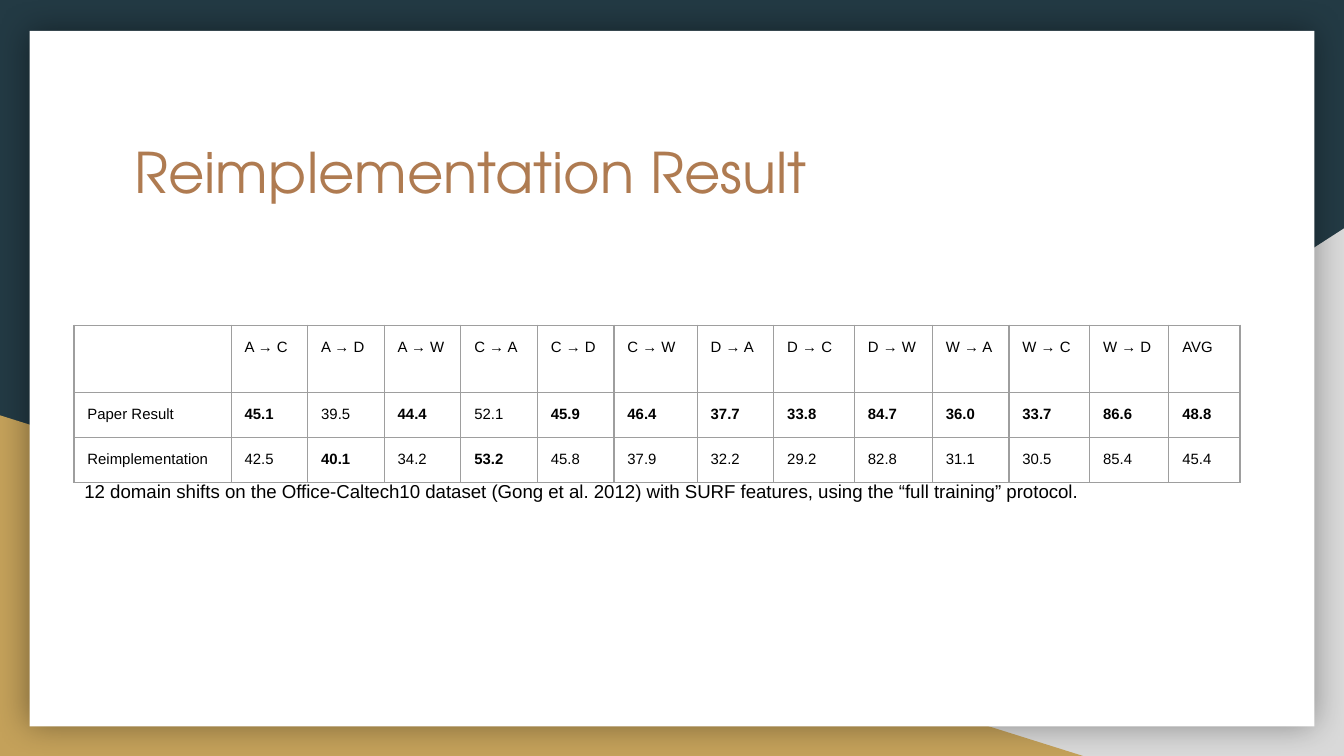
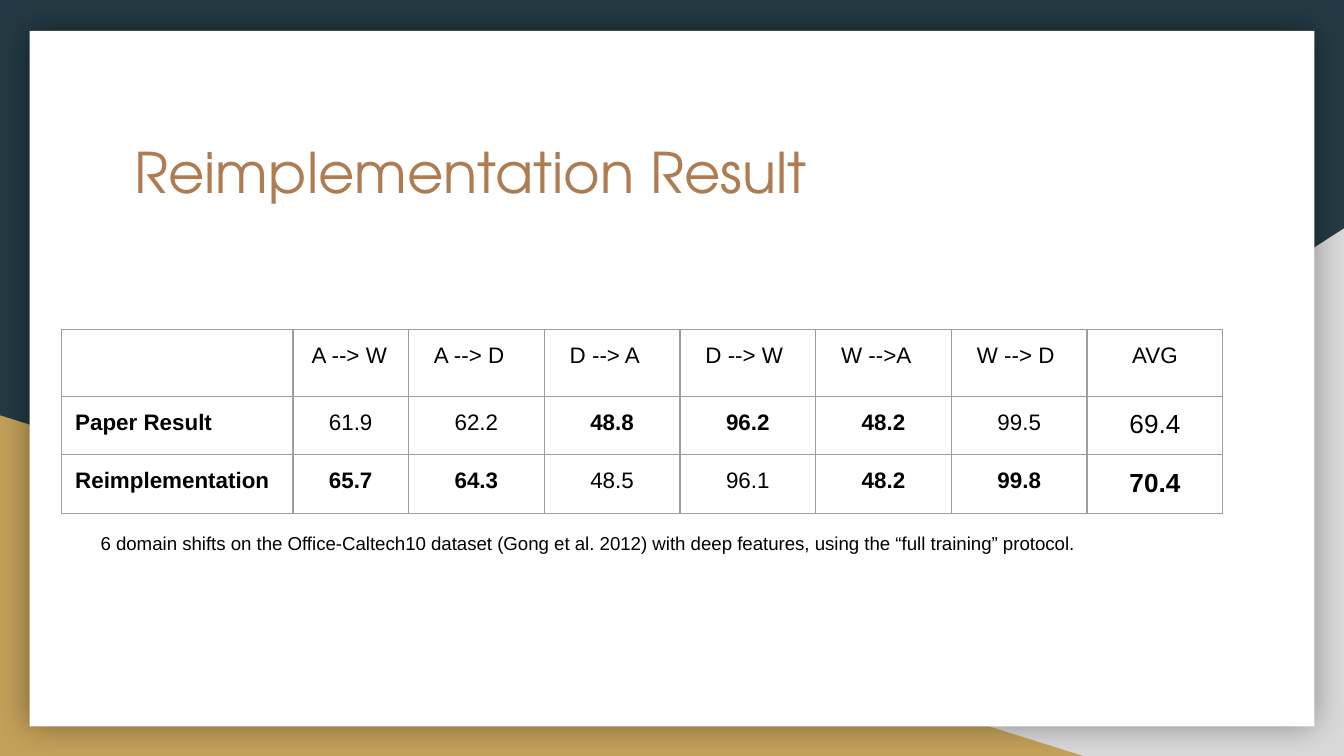
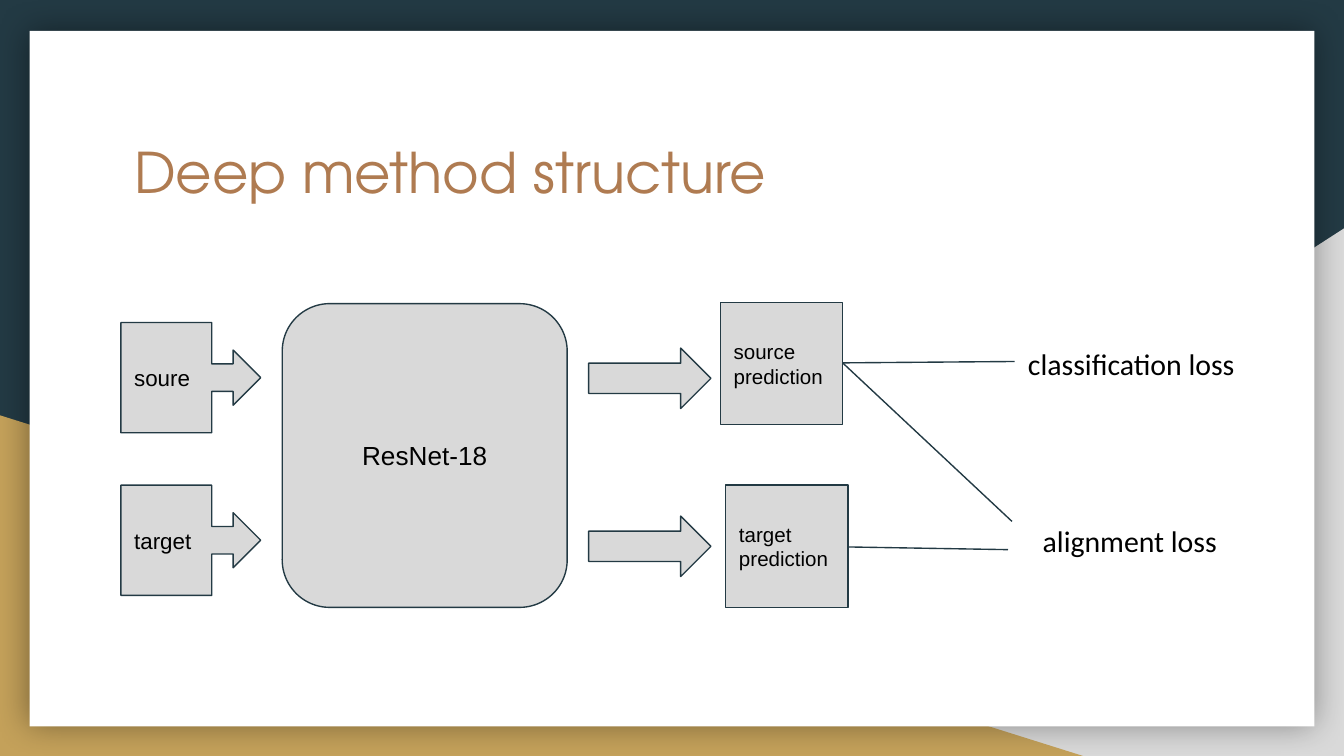
from lxml import etree
from pptx import Presentation
from pptx import util as u
from pptx.dml.color import RGBColor
from pptx.enum import shapes, text
from pptx.oxml.ns import qn

W = 10
H = W * 9 / 16
NAVY, GOLD, GREY, WHITE = "233A44", "C4A15A", "D9D9D9", "FFFFFF"
BROWN, BLACK, RULE = "AF7B51", "000000", "9E9E9E"
BODY, TITLE, LABEL = "Arial", "TeX Gyre Adventor", "Calibri"
LEFT, CENTER = text.PP_ALIGN.LEFT, text.PP_ALIGN.CENTER
TOP, MIDDLE = text.MSO_ANCHOR.TOP, text.MSO_ANCHOR.MIDDLE
S = shapes.MSO_SHAPE
BOLD_MARK = "*"

RESULTS = [
    dict(
        title="Reimplementation Result",
        at=(0.55, 2.42),
        cols=[1.17] + [0.565] * 5 + [0.62, 0.57, 0.6, 0.58, 0.57, 0.6, 0.59, 0.53],
        rows=[0.26, 0.27, 0.27],
        size=8, avg_size=8, align=LEFT, indents={},
        cells=[
            ["", "A → C", "A → D", "A → W", "C → A", "C → D", "C → W", "D → A",
             "D → C", "D → W", "W → A", "W → C", "W → D", "AVG"],
            ["Paper Result", "*45.1", "39.5", "*44.4", "52.1", "*45.9", "*46.4", "*37.7",
             "*33.8", "*84.7", "*36.0", "*33.7", "*86.6", "*48.8"],
            ["Reimplementation", "42.5", "*40.1", "34.2", "*53.2", "45.8", "37.9", "32.2",
             "29.2", "82.8", "31.1", "30.5", "85.4", "45.4"],
        ],
        caption="12 domain shifts on the Office-Caltech10 dataset (Gong et al. 2012) "
                "with SURF features, using the “full training” protocol.",
        caption_at=(0.53, 3.49, 8.7, 0.6),
    ),
    dict(
        title="Reimplementation Result",
        at=(0.46, 2.45),
        cols=[1.72, 0.86] + [1.01] * 6,
        rows=[0.43, 0.4, 0.4],
        size=12, avg_size=14, align=CENTER,
        indents={1: 0.04, 2: 0.09, 3: 0.09, 4: 0.09, 5: 0.09, 6: 0.09},
        cells=[
            ["", "A --> W", "A --> D", "D --> A", "D --> W", "W -->A", "W --> D", "AVG"],
            ["*Paper Result", "61.9", "62.2", "*48.8", "*96.2", "*48.2", "99.5", "69.4"],
            ["*Reimplementation", "*65.7", "*64.3", "48.5", "96.1", "*48.2", "*99.8", "*70.4"],
        ],
        caption="6 domain shifts on the Office-Caltech10 dataset (Gong et al. 2012) "
                "with deep features, using the “full training” protocol.",
        caption_at=(0.65, 3.87, 7.92, 0.3),
    ),
]
RESULTS[0]["cols"][1:6] = [0.57] * 5

BLOCKS = [
    (S.ROUNDED_RECTANGLE, (2.1, 2.26, 2.12, 2.26), "ResNet-18", 14, CENTER),
    (S.RIGHT_ARROW, (4.38, 2.59, 0.91, 0.45), "", 11, LEFT),
    (S.RIGHT_ARROW, (4.38, 3.84, 0.91, 0.45), "", 11, LEFT),
    (S.RECTANGLE, (5.36, 2.25, 0.91, 0.91), "source prediction", 11, LEFT),
    (S.RECTANGLE, (5.4, 3.61, 0.91, 0.91), "target prediction", 11, LEFT),
    (S.RIGHT_ARROW_CALLOUT, (0.9, 2.4, 1.04, 0.82), "soure", 12, LEFT),
    (S.RIGHT_ARROW_CALLOUT, (0.9, 3.61, 1.04, 0.82), "target", 12, LEFT),
]
LINKS = [
    (6.27, 2.7, 7.53, 3.88),
    (6.31, 4.07, 7.5, 4.09),
    (6.27, 2.7, 7.55, 2.69),
]
LOSSES = [
    ("classification loss", (7.55, 2.47, 2.08, 0.45)),
    ("alignment loss", (7.66, 3.79, 2.08, 0.45)),
]


def inches(values):
    return [u.Inches(v) for v in values]


def color(value):
    return RGBColor.from_string(value)


def write(tf, words, size=10, font=BODY, ink=BLACK, bold=False, align=LEFT):
    p = tf.paragraphs[0]
    p.alignment = align
    r = p.add_run()
    r.text = words
    r.font.size = u.Pt(size)
    r.font.name = font
    r.font.bold = bold
    r.font.color.rgb = color(ink)


def set_frame(tf, anchor):
    tf.word_wrap = True
    tf.vertical_anchor = anchor
    tf.margin_left = tf.margin_right = tf.margin_top = tf.margin_bottom = u.Inches(0.1)


def add_text(s, words, at, **style):
    tf = s.shapes.add_textbox(*inches(at)).text_frame
    set_frame(tf, TOP)
    write(tf, words, **style)


def add_block(s, kind, at, fill, line=None):
    sp = s.shapes.add_shape(kind, *inches(at))
    sp.shadow.inherit = False
    sp.fill.solid()
    sp.fill.fore_color.rgb = color(fill)
    if line:
        sp.line.color.rgb = color(line)
        sp.line.width = u.Pt(0.75)
    else:
        sp.line.fill.background()
    return sp


def add_glow(sp):
    effects = sp._element.spPr.find(qn("a:effectLst"))
    shadow = etree.SubElement(effects, qn("a:outerShdw"), blurRad=str(u.Pt(18)),
                              dist="0", algn="ctr", rotWithShape="0")
    ink = etree.SubElement(shadow, qn("a:srgbClr"), val=BLACK)
    etree.SubElement(ink, qn("a:alpha"), val="40000")


def new_slide(prs, title):
    s = prs.slides.add_slide(prs.slide_layouts[6])
    corner = add_block(s, S.RIGHT_TRIANGLE, (3.92, 1.7, W - 3.92, H - 1.7), GREY)
    corner._element.spPr.find(qn("a:xfrm")).set("flipH", "1")
    add_block(s, S.RIGHT_TRIANGLE, (0, 3.09, 8.06, H - 3.09), GOLD)
    add_glow(add_block(s, S.RECTANGLE, (0.22, 0.23, W - 0.44, H - 0.45), WHITE))
    add_text(s, title, (0.9, 0.92, 8.21, 1.04), size=30, font=TITLE, ink=BROWN)
    return s


def set_borders(cell):
    tc_pr = cell._tc.get_or_add_tcPr()
    for side in ("a:lnL", "a:lnR", "a:lnT", "a:lnB"):
        ln = etree.SubElement(tc_pr, qn(side), w=str(u.Pt(0.75)))
        fill = etree.SubElement(ln, qn("a:solidFill"))
        etree.SubElement(fill, qn("a:srgbClr"), val=RULE)


def add_results(s, d):
    cols, rows = d["cols"], d["rows"]
    frame = s.shapes.add_table(len(rows), len(cols),
                               *inches((*d["at"], sum(cols), sum(rows))))
    table = frame.table
    table.first_row = table.horz_banding = False
    for column, width in zip(table.columns, cols):
        column.width = u.Inches(width)
    for row, height in zip(table.rows, rows):
        row.height = u.Inches(height)
    last = len(cols) - 1
    for i, values in enumerate(d["cells"]):
        for j, value in enumerate(values):
            cell = table.cell(i, j)
            set_borders(cell)
            cell.fill.background()
            cell.margin_left = cell.margin_right = u.Inches(0.1)
            cell.margin_top = cell.margin_bottom = u.Inches(0.1)
            if i == 0:
                cell.margin_left = u.Inches(0.1 + d["indents"].get(j, 0))
            centered = j == last or (i and j)
            if value:
                write(cell.text_frame, value.lstrip(BOLD_MARK),
                      size=d["avg_size"] if i and j == last else d["size"],
                      bold=value.startswith(BOLD_MARK),
                      align=d["align"] if centered else LEFT)


def add_link(s, ends):
    line = s.shapes.add_connector(shapes.MSO_CONNECTOR.STRAIGHT, *inches(ends))
    line.line.color.rgb = color(NAVY)
    line.line.width = u.Pt(0.75)
    etree.SubElement(line._element.spPr, qn("a:effectLst"))


def add_structure(s):
    for kind, at, words, size, align in BLOCKS:
        sp = add_block(s, kind, at, GREY, line=NAVY)
        if words:
            set_frame(sp.text_frame, MIDDLE)
            write(sp.text_frame, words, size=size, align=align)
    for ends in LINKS:
        add_link(s, ends)
    for words, at in LOSSES:
        add_text(s, words, at, size=16, font=LABEL)


def main():
    prs = Presentation()
    prs.slide_width, prs.slide_height = inches((W, H))
    backdrop = prs.slide_master.background.fill
    backdrop.solid()
    backdrop.fore_color.rgb = color(NAVY)
    for d in RESULTS:
        s = new_slide(prs, d["title"])
        add_results(s, d)
        add_text(s, d["caption"], d["caption_at"])
    add_structure(new_slide(prs, "Deep method structure"))
    prs.save("out.pptx")


if __name__ == "__main__":
    main()
